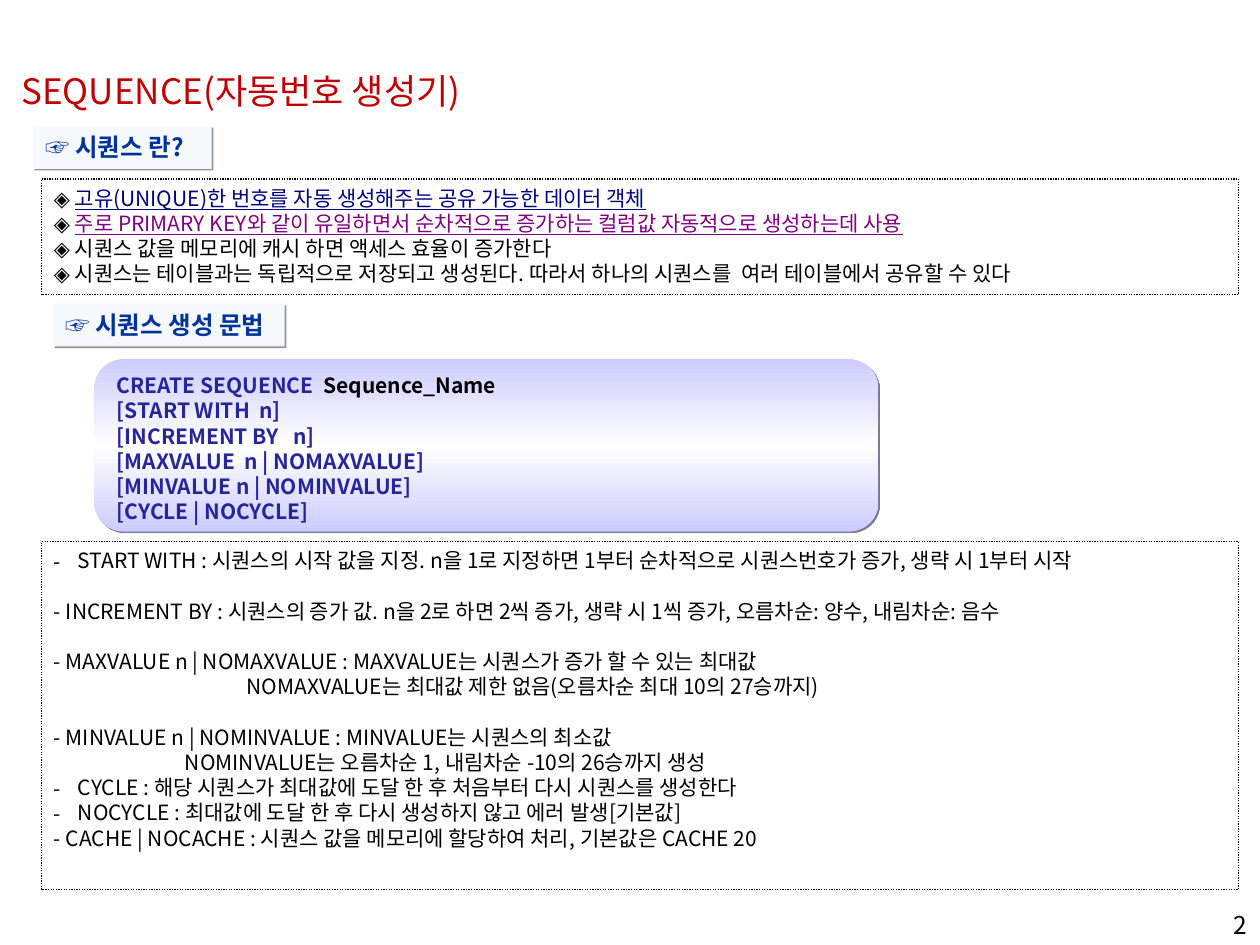
from copy import deepcopy
from dataclasses import dataclass

from lxml.etree import SubElement
from pptx import Presentation
from pptx.dml.color import RGBColor
from pptx.enum.dml import MSO_LINE
from pptx.enum.shapes import MSO_SHAPE
from pptx.enum.text import MSO_ANCHOR, MSO_AUTO_SIZE, PP_ALIGN
from pptx.oxml.ns import qn
from pptx.util import Inches, Pt


@dataclass(frozen=True)
class Theme:
    font: str = "Noto Sans CJK KR"
    ink: str = "000000"
    title: str = "C00000"
    head: str = "003399"
    navy: str = "000080"
    purple: str = "800080"
    code: str = "262699"
    tint: str = "F6F9FC"
    lilac: str = "CCCCFF"
    white: str = "FFFFFF"
    shade: str = "949597"
    dusk: str = "7A7A99"
    big: int = 20
    mid: int = 14
    body: int = 12
    pitch: float = 1.2


THEME = Theme()

FACTS = [
    [("◈ ", THEME.ink, False), ("고유(UNIQUE)한 번호를 자동 생성해주는 공유 가능한 데이터 객체", THEME.navy, True)],
    [("◈ ", THEME.ink, False),
     ("주로 PRIMARY KEY와 같이 유일하면서 순차적으로 증가하는 컬럼값 자동적으로 생성하는데 사용", THEME.purple, True)],
    [("◈ 시퀀스 값을 메모리에 캐시 하면 액세스 효율이 증가한다", THEME.ink, False)],
    [("◈ 시퀀스는 테이블과는 독립적으로 저장되고 생성된다. 따라서 하나의 시퀀스를\u00a0\u00a0여러 테이블에서 공유할 수 있다",
      THEME.ink, False)],
]

SYNTAX = [
    "[START WITH  n]",
    "[INCREMENT BY   n]",
    "[MAXVALUE  n | NOMAXVALUE]",
    "[MINVALUE n | NOMINVALUE]",
    "[CYCLE | NOCYCLE]",
]

NOTES = [
    ("bullet", 0, "START WITH : 시퀀스의 시작 값을 지정. n을 1로 지정하면 1부터 순차적으로 시퀀스번호가 증가, 생략 시 1부터 시작"),
    ("gap", 0, "- INCREMENT BY : 시퀀스의 증가 값. n을 2로 하면 2씩 증가, 생략 시 1씩 증가, 오름차순: 양수, 내림차순: 음수"),
    ("gap", 0, "- MAXVALUE n | NOMAXVALUE : MAXVALUE는 시퀀스가 증가 할 수 있는 최대값"),
    ("plain", 1.53, "NOMAXVALUE는 최대값 제한 없음(오름차순 최대 10의 27승까지)"),
    ("gap", 0, "- MINVALUE n | NOMINVALUE : MINVALUE는 시퀀스의 최소값"),
    ("plain", 1.04, "NOMINVALUE는 오름차순 1, 내림차순 -10의 26승까지 생성"),
    ("bullet", 0, "CYCLE : 해당 시퀀스가 최대값에 도달 한 후 처음부터 다시 시퀀스를 생성한다"),
    ("bullet", 0, "NOCYCLE : 최대값에 도달 한 후 다시 생성하지 않고 에러 발생[기본값]"),
    ("plain", 0, "- CACHE | NOCACHE : 시퀀스 값을 메모리에 할당하여 처리, 기본값은 CACHE 20"),
]


def place(shape, box):
    shape.left, shape.top, shape.width, shape.height = map(Inches, box)


def style(run, size, color, bold=False, under=False):
    font = run.font
    font.name, font.size, font.bold = THEME.font, Pt(size), bold
    font.underline = under
    font.color.rgb = RGBColor.from_string(color)
    SubElement(font._element, qn("a:ea"), typeface=THEME.font)


def write(shape, rows, size, bold=False, align=PP_ALIGN.LEFT):
    frame = shape.text_frame
    frame.text = "\n".join("".join(part[0] for part in row) for row in rows)
    frame.word_wrap = True
    frame.auto_size = MSO_AUTO_SIZE.NONE
    frame.vertical_anchor = MSO_ANCHOR.TOP
    for para, row in zip(frame.paragraphs, rows):
        para.alignment = align
        para.line_spacing = Pt(size * THEME.pitch)
        para.space_before = Pt(0)
        para.runs[0].text = row[0][0]
        for part in row[1:]:
            para.add_run().text = part[0]
        for run, (_, color, under) in zip(para.runs, row):
            style(run, size, color, bold, under)
    return frame.paragraphs


def label(slide, box, rows, size, bold=False, align=PP_ALIGN.LEFT):
    shape = slide.shapes.add_textbox(*map(Inches, box))
    write(shape, rows, size, bold, align)


def block(slide, box, kind=MSO_SHAPE.RECTANGLE):
    shape = slide.shapes.add_shape(kind, *map(Inches, box))
    shape.shadow.inherit = False
    shape.fill.background()
    shape.line.fill.background()
    return shape


def shadow(shape, color):
    effect = shape._element.spPr.find(qn("a:effectLst"))
    outer = SubElement(effect, qn("a:outerShdw"), blurRad="0", dist=str(Pt(1.4)),
                       dir="2700000", algn="ctr", rotWithShape="0")
    SubElement(outer, qn("a:srgbClr"), val=color)


def frame(slide, box):
    shape = block(slide, box)
    shape.line.color.rgb = RGBColor.from_string(THEME.ink)
    shape.line.width = Pt(0.74)
    shape.line.dash_style = MSO_LINE.ROUND_DOT
    return shape


def heading(slide, box, text):
    shape = block(slide, box)
    shape.fill.solid()
    shape.fill.fore_color.rgb = RGBColor.from_string(THEME.tint)
    shadow(shape, THEME.shade)
    write(shape, [[(text, THEME.head, False)]], THEME.mid, bold=True)


def panel(slide, box):
    shape = block(slide, box, MSO_SHAPE.ROUNDED_RECTANGLE)
    shape.adjustments[0] = 0.17
    shape.fill.gradient()
    shape.fill.gradient_angle = 90
    stops = shape._element.spPr.find(qn("a:gradFill")).find(qn("a:gsLst"))
    stops.append(deepcopy(stops[-1]))
    colors = (THEME.lilac, THEME.white, THEME.lilac)
    for i, (stop, color) in enumerate(zip(shape.fill.gradient_stops, colors)):
        stop.position = i / 2
        stop.color.rgb = RGBColor.from_string(color)
    shadow(shape, THEME.dusk)


def notes(slide, box):
    shape = frame(slide, box)
    rows = [[(text, THEME.ink, False)] for _, _, text in NOTES]
    for para, (kind, left, _) in zip(write(shape, rows, THEME.body), NOTES):
        if kind == "gap":
            para.space_before = Pt(THEME.body * THEME.pitch)
        props = para._p.get_or_add_pPr()
        props.set("marL", str(Inches(left)))
        if kind == "bullet":
            props.set("marL", str(Inches(0.19)))
            props.set("indent", str(-Inches(0.19)))
            SubElement(props, qn("a:buFont"), typeface=THEME.font)
            SubElement(props, qn("a:buChar"), char="-")


def main():
    deck = Presentation()
    deck.slide_width, deck.slide_height = Inches(10), Inches(7.5)
    slide = deck.slides.add_slide(deck.slide_layouts[5])
    title = slide.shapes.title
    place(title, (0.07, 0.5, 3.95, 0.44))
    write(title, [[("SEQUENCE(자동번호 생성기)", THEME.title, False)]], THEME.big)
    heading(slide, (0.26, 1, 1.42, 0.34), "☞ 시퀀스 란?")
    write(frame(slide, (0.33, 1.42, 9.5, 0.92)), FACTS, THEME.body)
    heading(slide, (0.42, 2.41, 1.84, 0.34), "☞ 시퀀스 생성 문법")
    panel(slide, (0.75, 2.85, 6.22, 1.37))
    first = [("CREATE SEQUENCE  ", THEME.code, False), ("Sequence_Name", THEME.ink, False)]
    code = [first] + [[(text, THEME.code, False)] for text in SYNTAX]
    label(slide, (0.83, 2.91, 6.14, 1.3), code, THEME.body, bold=True)
    notes(slide, (0.33, 4.3, 9.5, 2.76))
    label(slide, (7.92, 7.17, 2.08, 0.5), [[("2", THEME.ink, False)]], THEME.mid, align=PP_ALIGN.RIGHT)
    deck.save("out.pptx")


main()
